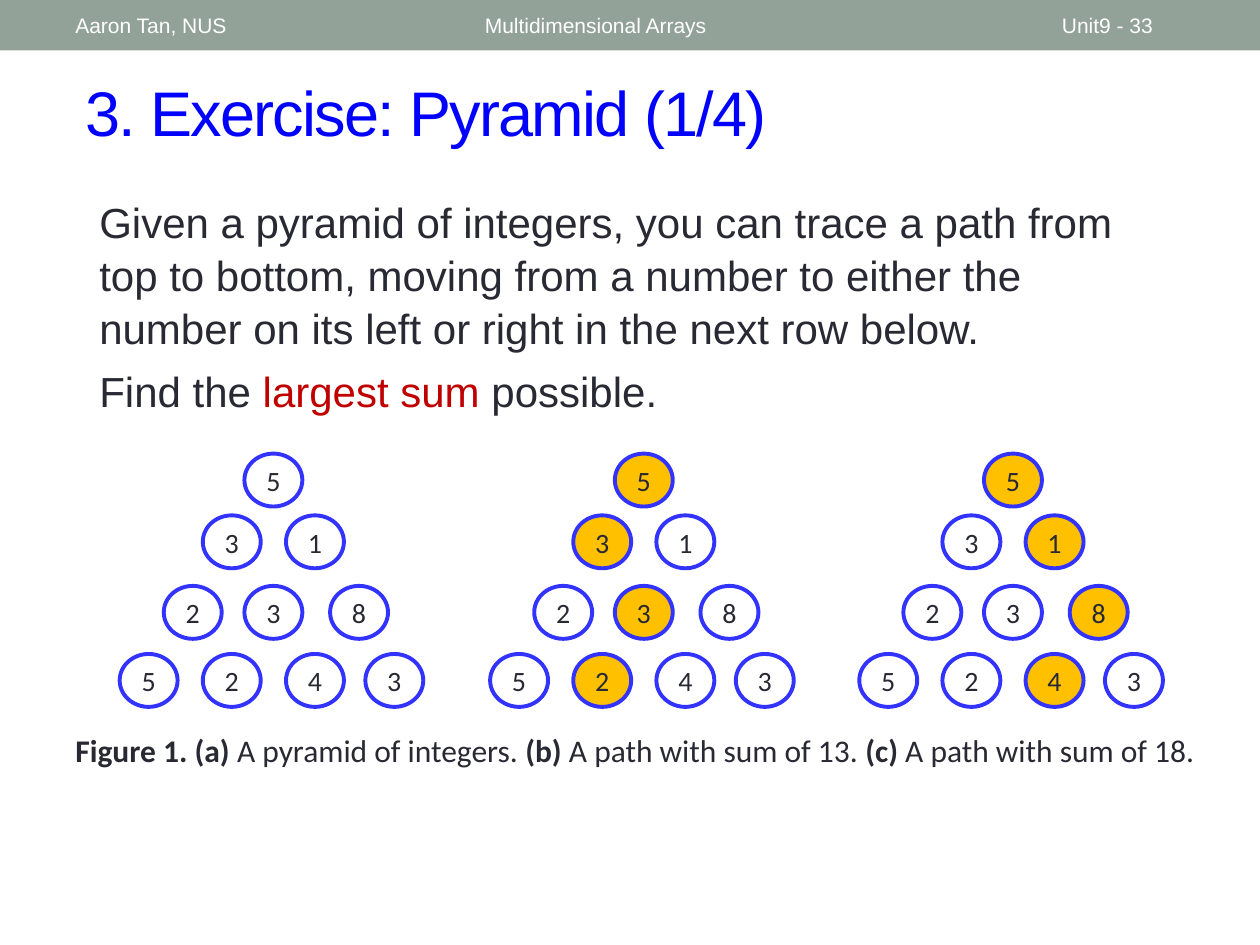
from dataclasses import dataclass

from pptx import Presentation
from pptx.dml.color import RGBColor
from pptx.enum.shapes import MSO_SHAPE
from pptx.enum.text import MSO_ANCHOR, MSO_AUTO_SIZE, PP_ALIGN
from pptx.shapes.autoshape import Shape
from pptx.slide import Slide
from pptx.text.text import TextFrame, _Paragraph, _Run
from pptx.util import Emu, Pt

RECTANGLE, ELLIPSE = MSO_SHAPE.RECTANGLE, MSO_SHAPE.OVAL
TOP, MIDDLE = MSO_ANCHOR.TOP, MSO_ANCHOR.MIDDLE
LEFT, CENTER = PP_ALIGN.LEFT, PP_ALIGN.CENTER
NO_AUTOFIT, GROW = MSO_AUTO_SIZE.NONE, MSO_AUTO_SIZE.SHAPE_TO_FIT_TEXT

SAGE = RGBColor(0x93, 0xA2, 0x99)
WHITE = RGBColor(0xFF, 0xFF, 0xFF)
BLUE = RGBColor(0x00, 0x00, 0xFF)
RING = RGBColor(0x33, 0x33, 0xFF)
AMBER = RGBColor(0xFF, 0xC0, 0x00)
INK = RGBColor(0x29, 0x29, 0x34)
RED = RGBColor(0xC0, 0x00, 0x00)

EMU_PER_PX = 9144
TITLE_ONLY = 5
CIRCLE_WIDTH, CIRCLE_HEIGHT = 46, 42
ROW_TOPS = (360, 409, 465, 519)
COLUMN_OFFSETS = ((99,), (66, 132), (35, 99, 167), (0, 66, 132, 195))
PYRAMID_ROWS = ((5,), (3, 1), (2, 3, 8), (5, 2, 4, 3))


@dataclass(frozen=True)
class Box:
    """A rectangle in px."""

    left: int
    top: int
    width: int
    height: int

    def emu(self) -> tuple[Emu, ...]:
        """Return the four lengths in EMU."""
        lengths = (self.left, self.top, self.width, self.height)
        return tuple(Emu(length * EMU_PER_PX) for length in lengths)


@dataclass(frozen=True)
class Style:
    """The look of a run of text."""

    font: str
    size: int
    color: RGBColor
    bold: bool = False


@dataclass(frozen=True)
class Span:
    """A piece of text in one style."""

    text: str
    style: Style


@dataclass(frozen=True)
class Pyramid:
    """A pyramid's left edge and the chosen column in each row."""

    left: int
    chosen: tuple[int, ...] = ()


TITLE = Style("Arial", 36, BLUE)
HEADER = Style("Arial", 12, WHITE)
BODY = Style("Arial", 24, INK)
EMPHASIS = Style("Arial", 24, RED)
NUMBER = Style("Calibri", 16, INK)
CAPTION = Style("Calibri", 18, INK)
LABEL = Style("Calibri", 18, INK, bold=True)

HEADERS = (
    (Box(375, 2, 450, 36), "Multidimensional Arrays"),
    (Box(833, 2, 117, 36), "Unit9 - 33"),
    (Box(50, 2, 317, 36), "Aaron Tan, NUS"),
)
PYRAMIDS = (
    Pyramid(95),
    Pyramid(389, (0, 0, 1, 1)),
    Pyramid(682, (0, 1, 2, 2)),
)
CAPTION_SPANS = (
    Span("Figure 1. (a)", LABEL),
    Span(" A pyramid of integers. ", CAPTION),
    Span("(b)", LABEL),
    Span(" A path with sum of 13. ", CAPTION),
    Span("(c)", LABEL),
    Span(" A path with sum of 18.", CAPTION),
)
TASK = (
    Span(
        "Given a pyramid of integers, you can trace a path from top to bottom, "
        "moving from a number to either the number on its left or right in the "
        "next row below.",
        BODY,
    ),
)
GOAL = (Span("Find the ", BODY), Span("largest sum ", EMPHASIS), Span("possible.", BODY))


def format_run(run: _Run, style: Style) -> None:
    """Apply a style to a run."""
    run.font.name = style.font
    run.font.size = Pt(style.size)
    run.font.bold = style.bold
    run.font.color.rgb = style.color


def write_spans(paragraph: _Paragraph, spans: tuple[Span, ...]) -> None:
    """Write styled spans into a paragraph."""
    for span in spans:
        run = paragraph.add_run()
        run.text = span.text
        format_run(run, span.style)


def write_line(frame: TextFrame, text: str, style: Style, alignment: PP_ALIGN = LEFT) -> None:
    """Write one vertically centred line into a text frame."""
    frame.text = text
    frame.word_wrap = True
    frame.vertical_anchor = MIDDLE
    paragraph = frame.paragraphs[0]
    paragraph.alignment = alignment
    format_run(paragraph.runs[0], style)


def add_plain_shape(slide: Slide, kind: MSO_SHAPE, box: Box, fill: RGBColor | None) -> Shape:
    """Add a shape with no shadow or outline and an optional fill."""
    shape = slide.shapes.add_shape(kind, *box.emu())
    shape.shadow.inherit = False
    shape.line.fill.background()
    if fill is None:
        shape.fill.background()
    else:
        shape.fill.solid()
        shape.fill.fore_color.rgb = fill
    return shape


def add_title(slide: Slide, text: str) -> None:
    """Place and format the title placeholder."""
    title = slide.shapes.title
    title.left, title.top, title.width, title.height = Box(58, 42, 917, 92).emu()
    title.text_frame.auto_size = NO_AUTOFIT
    write_line(title.text_frame, text, TITLE)
    title.text_frame.paragraphs[0].runs[0].font._element.set("spc", "-100")


def add_header(slide: Slide) -> None:
    """Draw the top bar and its three texts."""
    add_plain_shape(slide, RECTANGLE, Box(0, 0, 1000, 40), SAGE)
    for box, text in HEADERS:
        write_line(slide.shapes.add_textbox(*box.emu()).text_frame, text, HEADER)


def add_circle(slide: Slide, left: int, top: int, number: int, chosen: bool) -> None:
    """Draw one numbered circle."""
    box = Box(left, top, CIRCLE_WIDTH, CIRCLE_HEIGHT)
    circle = add_plain_shape(slide, ELLIPSE, box, AMBER if chosen else None)
    circle.line.color.rgb = RING
    circle.line.width = Pt(2.25)
    frame = circle.text_frame
    frame.margin_left = frame.margin_top = frame.margin_right = frame.margin_bottom = 0
    write_line(frame, str(number), NUMBER, CENTER)


def add_pyramid(slide: Slide, pyramid: Pyramid) -> None:
    """Draw the circles of one pyramid."""
    for row, (top, offsets, numbers) in enumerate(zip(ROW_TOPS, COLUMN_OFFSETS, PYRAMID_ROWS)):
        for column, (offset, number) in enumerate(zip(offsets, numbers)):
            chosen = bool(pyramid.chosen) and pyramid.chosen[row] == column
            add_circle(slide, pyramid.left + offset, top, number, chosen)


def add_caption(slide: Slide) -> None:
    """Draw the figure caption."""
    frame = add_plain_shape(slide, RECTANGLE, Box(50, 575, 925, 68), WHITE).text_frame
    frame.word_wrap = True
    frame.vertical_anchor = TOP
    paragraph = frame.paragraphs[0]
    paragraph.alignment = LEFT
    paragraph.space_after = Pt(10)
    write_spans(paragraph, CAPTION_SPANS)


def add_body(slide: Slide) -> None:
    """Draw the statement of the exercise."""
    frame = slide.shapes.add_textbox(*Box(69, 149, 856, 180).emu()).text_frame
    frame.word_wrap = True
    frame.auto_size = GROW
    for paragraph, spans in ((frame.paragraphs[0], TASK), (frame.add_paragraph(), GOAL)):
        paragraph.space_after = Pt(6)
        paragraph.line_spacing = 1.05
        write_spans(paragraph, spans)


def main() -> None:
    """Build the slide and save it."""
    presentation = Presentation()
    presentation.slide_width, presentation.slide_height = Box(0, 0, 1000, 750).emu()[2:]
    slide = presentation.slides.add_slide(presentation.slide_layouts[TITLE_ONLY])
    add_title(slide, "3. Exercise: Pyramid (1/4)")
    add_header(slide)
    for pyramid in PYRAMIDS:
        add_pyramid(slide, pyramid)
    add_caption(slide)
    add_body(slide)
    presentation.save("out.pptx")


if __name__ == "__main__":
    main()
